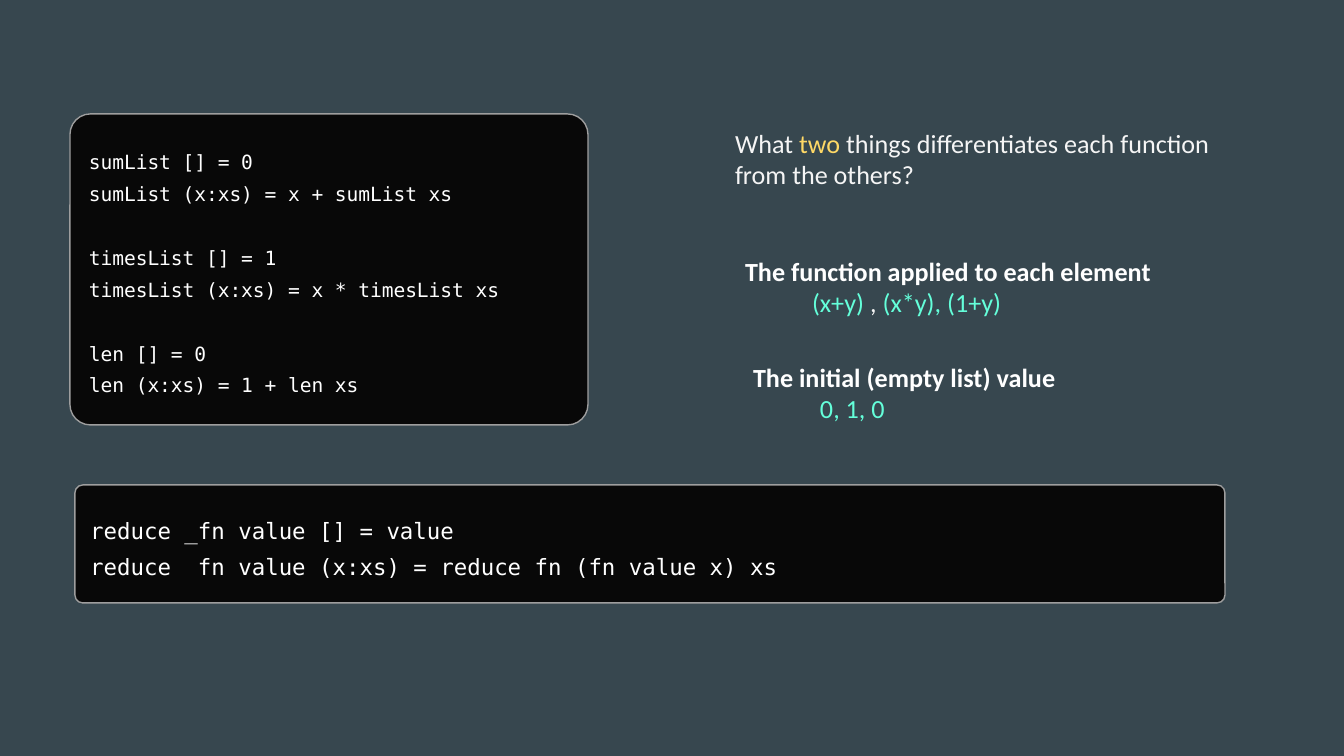
from pptx import Presentation
from pptx.dml.color import RGBColor
from pptx.enum.shapes import MSO_SHAPE
from pptx.enum.text import MSO_ANCHOR, MSO_AUTO_SIZE, PP_ALIGN
from pptx.util import Emu, Pt

ROUND = MSO_SHAPE.ROUNDED_RECTANGLE
MIDDLE = MSO_ANCHOR.MIDDLE
GROW = MSO_AUTO_SIZE.SHAPE_TO_FIT_TEXT
LEFT = PP_ALIGN.LEFT
COLORS = {
    "back": "37474F",
    "panel": "080808",
    "edge": "9E9E9E",
    "white": "FFFFFF",
    "pale": "F5F5F5",
    "gold": "FFD966",
    "mint": "64FFDA",
}
SCALE = 914400 / 134.4
PAD = 13
INDENT = 67

LISTS = [
    ["sumList [] = 0", "sumList (x:xs) = x + sumList xs"],
    ["timesList [] = 1", "timesList (x:xs) = x * timesList xs"],
    ["len [] = 0", "len (x:xs) = 1 + len xs"],
]
REDUCE = [
    ["reduce _fn value [] = value",
     "reduce  fn value (x:xs) = reduce fn (fn value x) xs"],
]
ASK = [
    ("What ", "pale"),
    ("two", "gold"),
    (" things differentiates each function from the others?", "pale"),
]
STEP = [("(x+y)", "mint"), (" , ", "pale"), ("(x*y), (1+y)", "mint")]
START = [("0, 1, 0", "mint")]


def px(n):
    """Turn px into EMU."""
    return Emu(round(n * SCALE))


def color(name):
    """Look up a colour by name."""
    return RGBColor.from_string(COLORS[name])


def set_frame(frame):
    """Wrap the text and set even margins."""
    frame.word_wrap = True
    frame.margin_left = frame.margin_right = px(PAD)
    frame.margin_top = frame.margin_bottom = px(PAD)


def add_code(slide, box, groups, size):
    """Draw a dark panel of code, with a gap between groups of lines."""
    panel = slide.shapes.add_shape(ROUND, *map(px, box))
    panel.adjustments[0] = 0.066
    panel.shadow.inherit = False
    panel.fill.solid()
    panel.fill.fore_color.rgb = color("panel")
    panel.line.color.rgb = color("edge")
    panel.line.width = Pt(0.75)
    frame = panel.text_frame
    set_frame(frame)
    frame.vertical_anchor = MIDDLE
    para = frame.paragraphs[0]
    for g, group in enumerate(groups):
        for i, line in enumerate(group):
            if g or i:
                para = frame.add_paragraph()
            if g and not i:
                para.space_before = Pt(17)
            para.text = line
            para.alignment = LEFT
            para.line_spacing = 1.36
            para.font.name = "DejaVu Sans Mono"
            para.font.size = Pt(size)
            para.font.color.rgb = color("white")


def add_runs(para, runs, bold=False):
    """Fill a paragraph with coloured runs."""
    para.font.name = "Calibri"
    para.font.size = Pt(14)
    para.font.bold = bold
    for text, name in runs:
        run = para.add_run()
        run.text = text
        run.font.color.rgb = color(name)


def add_note(slide, box, runs, head=None):
    """Place a note, indented below a bold heading if there is one."""
    frame = slide.shapes.add_textbox(*map(px, box)).text_frame
    set_frame(frame)
    frame.auto_size = GROW
    para = frame.paragraphs[0]
    if head:
        add_runs(para, [(head, "white")], True)
        para = frame.add_paragraph()
        para._p.get_or_add_pPr().set("indent", str(px(INDENT)))
    add_runs(para, runs)


def main():
    """Build and save the slide."""
    deck = Presentation()
    deck.slide_width, deck.slide_height = px(1344), px(756)
    slide = deck.slides.add_slide(deck.slide_layouts[6])
    slide.background.fill.solid()
    slide.background.fill.fore_color.rgb = color("back")
    add_code(slide, (70, 114, 518, 311), LISTS, 10.5)
    add_note(slide, (722, 114, 555, 90), ASK)
    add_note(slide, (732, 242, 555, 90), STEP,
             "The function applied to each element")
    add_note(slide, (740, 348, 555, 90), START,
             "The initial (empty list) value")
    add_code(slide, (75, 485, 1150, 118), REDUCE, 12)
    deck.save("out.pptx")


if __name__ == "__main__":
    main()
